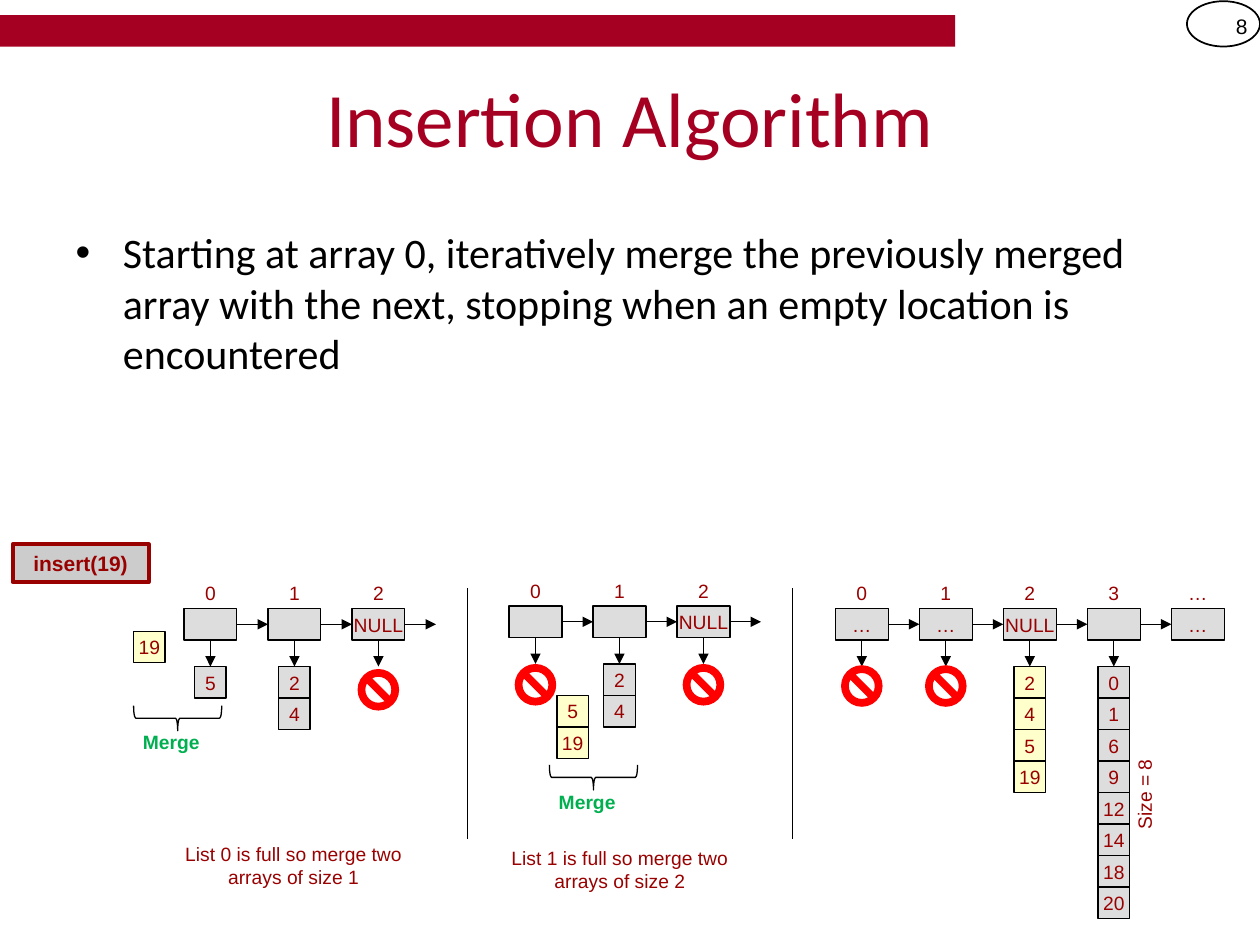
from dataclasses import dataclass

from lxml import etree
from pptx import Presentation
from pptx.dml import color
from pptx.enum import shapes, text
from pptx.oxml import ns
from pptx.util import Inches, Pt

SHAPE = shapes.MSO_SHAPE
ALIGN = text.PP_ALIGN
MIDDLE = text.MSO_ANCHOR.MIDDLE


@dataclass(frozen=True)
class Theme:
    brand: str = "A50021"
    ink: str = "000000"
    label: str = "990000"
    merge: str = "00B050"
    node: str = "DDDDDD"
    fresh: str = "FFFFCC"
    call: str = "CCCCCC"
    stop: str = "FF0000"
    head: str = "Calibri"
    font: str = "Arial"
    title: int = 44
    body: int = 24
    note: int = 12
    small: int = 11
    thin: float = 0.75


T = Theme()
WIDE, CELL = 0.42, 0.25   # node width; height of nodes and side of cells
STEP = 2 / 3              # from one node to the next
GAP = 0.46                # from the top of a node to its array
SIGN = 0.33

# Each node: index, text, array below (empty: vacant, None: nothing), fill
LISTS = [
    (1.46, 4.83, 0.48, True, [
        ("0", "", ["5"], T.node),
        ("1", "", ["2", "4"], T.node),
        ("2", "NULL", [], T.node)]),
    (4.04, 4.81, 0.46, True, [
        ("0", "", [], T.node),
        ("1", "", ["2", "4"], T.node),
        ("2", "NULL", [], T.node)]),
    (6.63, 4.83, 0.45, False, [
        ("0", "…", [], T.node),
        ("1", "…", [], T.node),
        ("2", "NULL", ["2", "4", "5", "19"], T.fresh),
        ("3", "", ["0", "1", "6", "9", "12", "14", "18", "20"], T.node),
        ("…", "…", None, T.node)]),
]


def rgb(code):
    return color.RGBColor.from_string(code)


def apply(item, values):
    for name, value in values.items():
        setattr(item, name, value)


def write(shape, words, size=T.small, tint=T.label, bold=False,
          font=T.font, align=ALIGN.CENTER, **frame):
    base = dict(word_wrap=True, vertical_anchor=MIDDLE)
    apply(shape.text_frame, base | frame)
    para = shape.text_frame.paragraphs[0]
    para.alignment = align
    run = para.add_run()
    run.text = words
    apply(run.font, dict(name=font, size=Pt(size), bold=bold))
    run.font.color.rgb = rgb(tint)


def trim(shape):
    apply(shape.text_frame, dict(
        margin_left=0, margin_right=0,
        margin_top=Inches(0.05), margin_bottom=Inches(0.05)))


def draw(slide, kind, box, fill=None, line=None, width=T.thin):
    shape = slide.shapes.add_shape(kind, *map(Inches, box))
    shape.shadow.inherit = False
    if fill:
        shape.fill.solid()
        shape.fill.fore_color.rgb = rgb(fill)
    else:
        shape.fill.background()
    if line:
        shape.line.color.rgb = rgb(line)
        shape.line.width = Pt(width)
    else:
        shape.line.fill.background()
    return shape


def cell(slide, box, words, fill=T.node):
    shape = draw(slide, SHAPE.RECTANGLE, box, fill, T.ink)
    if words:
        trim(shape)
        write(shape, words)


def label(slide, box, words, **style):
    shape = slide.shapes.add_textbox(*map(Inches, box))
    trim(shape)
    write(shape, words, **style)
    return shape


def rule(slide, ends, arrow=False):
    line = slide.shapes.add_connector(
        shapes.MSO_CONNECTOR.STRAIGHT, *map(Inches, ends))
    line.line.color.rgb = rgb(T.ink)
    line.line.width = Pt(T.thin)
    if arrow:
        tail = etree.SubElement(line.line._get_or_add_ln(), ns.qn("a:tailEnd"))
        tail.set("type", "triangle")
    etree.SubElement(line._element.spPr, ns.qn("a:effectLst"))


def stack(slide, left, top, values, fill):
    for row, value in enumerate(values):
        cell(slide, (left, top + row * CELL, CELL, CELL), value, fill)


def ban(slide, mid, top):
    draw(slide, SHAPE.NO_SYMBOL, (mid - SIGN / 2, top, SIGN, SIGN), T.stop)


def chain(slide, left, top, drop, more, nodes):
    """Draw linked nodes with their arrays; more adds a last open arrow."""
    for col, (index, words, values, fill) in enumerate(nodes):
        x = left + col * STEP
        mid, y = x + WIDE / 2, top + CELL / 2
        label(slide, (x, top - CELL, WIDE, CELL), index)
        cell(slide, (x, top, WIDE, CELL), words)
        if more or col < len(nodes) - 1:
            rule(slide, (x + WIDE, y, x + STEP, y), arrow=True)
        if values is None:
            continue
        rule(slide, (mid, top + CELL, mid, top + GAP), arrow=True)
        if values:
            stack(slide, mid - CELL / 2, top + GAP, values, fill)
        else:
            ban(slide, mid, top + drop)


def merge(slide, mid, top):
    """Draw a brace that opens upward, with its word below."""
    deep, span = 0.2, 0.7
    box = (mid - deep / 2, top - (span - deep) / 2, deep, span)
    draw(slide, SHAPE.RIGHT_BRACE, box, line=T.ink).rotation = 90
    label(slide, (mid - 0.56, top + 0.17, 1.02, 0.24), "Merge",
          tint=T.merge, bold=True)


def place(holder, box, words, **style):
    names = ("left", "top", "width", "height")
    apply(holder, dict(zip(names, map(Inches, box))))
    write(holder, words, font=T.head, auto_size=text.MSO_AUTO_SIZE.NONE,
          **style)


def frame(slide):
    draw(slide, SHAPE.RECTANGLE, (0, 0.12, 7.58, 0.25), T.brand)
    draw(slide, SHAPE.OVAL, (9.42, 0.01, 0.58, 0.36), line=T.ink, width=1)
    page = slide.shapes.add_textbox(*map(Inches, (9.42, 0.01, 0.58, 0.4)))
    write(page, "8", size=T.note, tint=T.ink, align=ALIGN.RIGHT)


def main():
    deck = Presentation()
    deck.slide_width, deck.slide_height = Inches(10), Inches(7.5)
    slide = deck.slides.add_slide(deck.slide_layouts[1])
    frame(slide)
    title, body = slide.placeholders
    place(title, (0.5, 0.3, 9, 1.25), "Insertion Algorithm",
          size=T.title, tint=T.brand)
    place(body, (0.5, 1.75, 8.58, 2.3),
          "Starting at array 0, iteratively merge the previously merged "
          "array with the next, stopping when an empty location is "
          "encountered", size=T.body, tint=T.ink, align=ALIGN.LEFT,
          vertical_anchor=text.MSO_ANCHOR.TOP)

    call = draw(slide, SHAPE.RECTANGLE, (0.1, 4.32, 1.08, 0.3),
                T.call, T.label, 2.25)
    write(call, "insert(19)", size=T.note, bold=True,
          vertical_anchor=text.MSO_ANCHOR.TOP)
    for data in LISTS:
        chain(slide, *data)
    stack(slide, 1.06, 5.01, ["19"], T.fresh)
    stack(slide, 4.42, 5.52, ["5", "19"], T.fresh)
    for mid, top in ((1.41, 5.6), (4.71, 6.07)):
        merge(slide, mid, top)
    for x in (3.71, 6.29):
        rule(slide, (x, 4.67, x, 6.66))
    label(slide, (1.39, 6.66, 1.88, 0.42),
          "List 0 is full so merge two arrays of size 1")
    label(slide, (3.98, 6.69, 1.88, 0.42),
          "List 1 is full so merge two arrays of size 2")
    label(slide, (8.7, 6.18, 0.76, 0.25), "Size = 8").rotation = 270
    deck.save("out.pptx")


if __name__ == "__main__":
    main()
